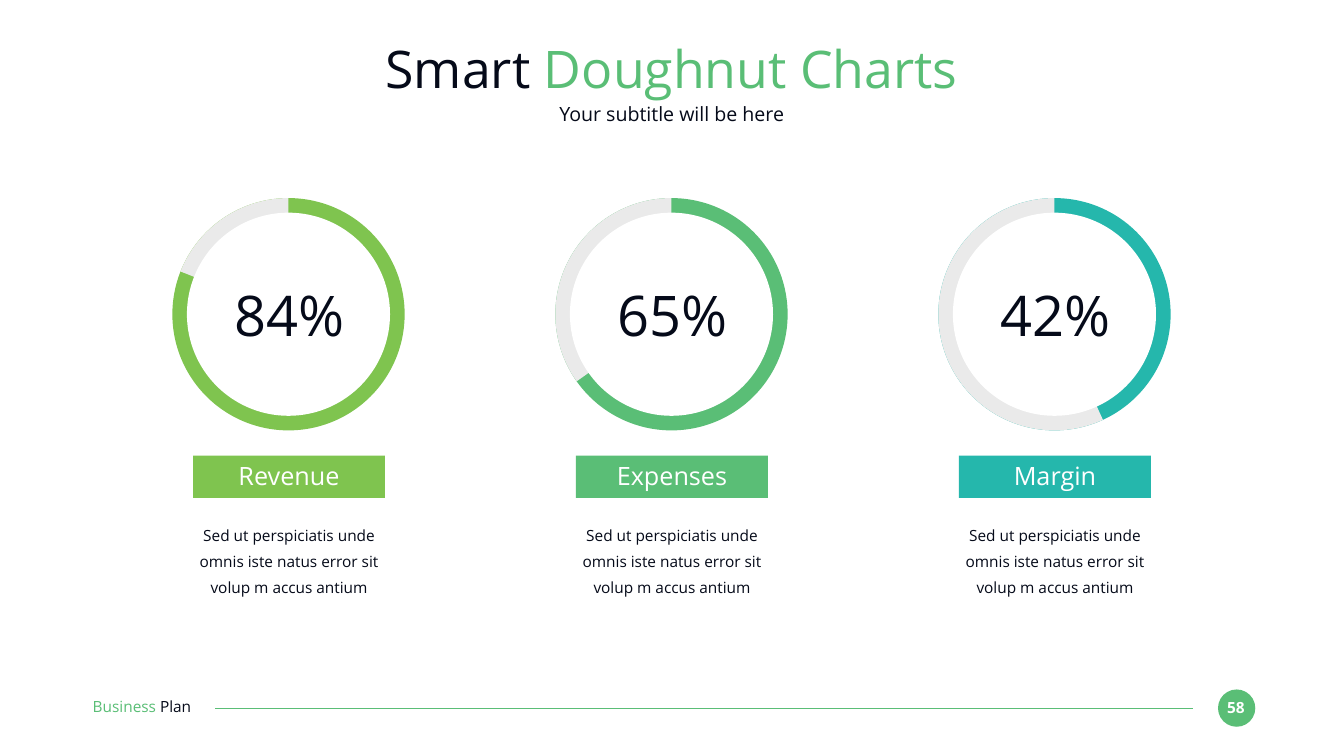
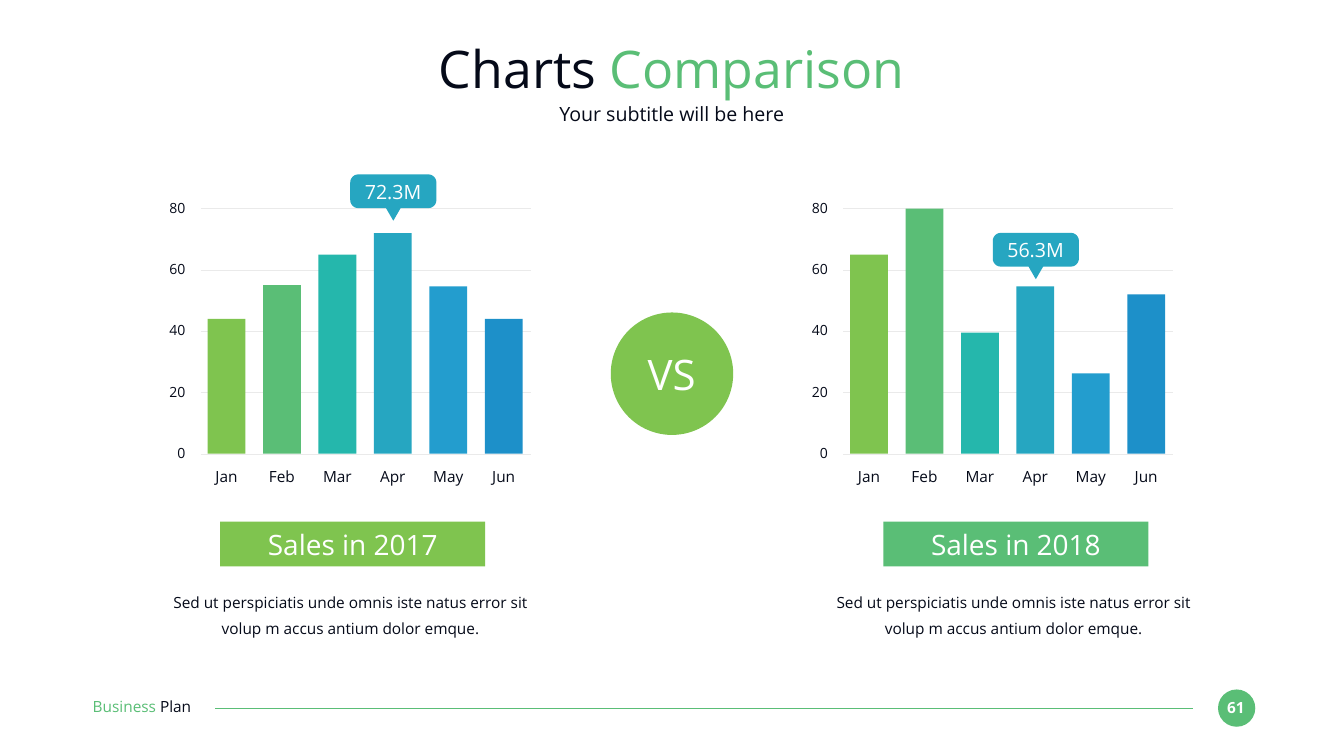
import math

from lxml import etree
from pptx import Presentation
from pptx import util as u
from pptx.dml.color import RGBColor
from pptx.enum import shapes, text
from pptx.oxml.ns import qn

PX = 9144
FONT = "Open Sans"
INK = RGBColor(0x05, 0x0A, 0x19)
WHITE = RGBColor(0xFF, 0xFF, 0xFF)
GREY = RGBColor(0xEA, 0xEA, 0xEA)
LIME = RGBColor(0x7F, 0xC4, 0x4F)
GREEN = RGBColor(0x5A, 0xBE, 0x76)
TEAL = RGBColor(0x25, 0xB7, 0xAC)
CYAN = RGBColor(0x26, 0xA6, 0xC1)
SKY = RGBColor(0x23, 0x9D, 0xCE)
BLUE = RGBColor(0x1D, 0x90, 0xC9)

SHAPE = shapes.MSO_SHAPE
CENTER = text.PP_ALIGN.CENTER
LEFT = text.PP_ALIGN.LEFT
RIGHT = text.PP_ALIGN.RIGHT

MONTHS = ["Jan", "Feb", "Mar", "Apr", "May", "Jun"]
BAR_COLORS = [LIME, GREEN, TEAL, CYAN, SKY, BLUE]
DIALS = [
    ("84%", 81, "Revenue", LIME),
    ("65%", 65.2, "Expenses", GREEN),
    ("42%", 43.15, "Margin", TEAL),
]
DIAL_TEXT = "Sed ut perspiciatis unde omnis iste natus error sit volup m accus antium"
SALES_TEXT = DIAL_TEXT + " dolor emque."
SALES = [
    ("Sales in 2017", LIME, [44, 55, 65, 72, 54.6, 44], "72.3M", 346),
    ("Sales in 2018", GREEN, [65, 80, 39.5, 54.6, 26.2, 52], "56.3M", 462),
]


def px(*lengths):
    return [u.Emu(round(length * PX)) for length in lengths]


def paint(sp, color):
    sp.shadow.inherit = False
    sp.fill.solid()
    sp.fill.fore_color.rgb = color
    sp.line.fill.background()
    return sp


def add_block(parent, kind, box, color):
    return paint(parent.shapes.add_shape(kind, *px(*box)), color)


def add_line(parent, x1, x2, y, color, width):
    line = parent.shapes.add_connector(
        shapes.MSO_CONNECTOR.STRAIGHT, *px(x1, y, x2, y))
    line.line.color.rgb = color
    line.line.width = u.Pt(width)
    etree.SubElement(line._element.spPr, qn("a:effectLst"))


def add_text(parent, box, runs, size, color=INK, align=CENTER, bold=False, spacing=None):
    tf = parent.shapes.add_textbox(*px(*box)).text_frame
    tf.word_wrap = True
    tf.margin_left = tf.margin_right = tf.margin_top = tf.margin_bottom = 0
    p = tf.paragraphs[0]
    p.alignment = align
    if spacing:
        p.line_spacing = spacing
    p.font.name = FONT
    p.font.size = u.Pt(size)
    p.font.bold = bold
    if isinstance(runs, str):
        p.font.color.rgb = color
        runs = [(runs, None)]
    for words, run_color in runs:
        r = p.add_run()
        r.text = words
        if run_color is not None:
            r.font.color.rgb = run_color


def add_banner(s, box, words, size, color, inset):
    x, y, w, h = box
    add_block(s, SHAPE.RECTANGLE, box, color)
    add_text(s, (x, y + inset, w, h - 2 * inset), words, size, WHITE)


def add_frame(prs, first, rest, number):
    s = prs.slides.add_slide(prs.slide_layouts[6])
    add_block(s, SHAPE.OVAL, (2417, 1368, 74, 74), GREEN)
    add_text(s, (2423, 1385, 59, 37), number, 22, WHITE, bold=True)
    add_line(s, 2367, 427, 1405, GREEN, 1.5)
    add_text(s, (184, 1384, 259, 37), [("Business ", GREEN), ("Plan", INK)], 22, align=LEFT)
    add_text(s, (183, 73, 2300, 127), [(first, INK), (rest, GREEN)], 74)
    add_text(s, (183, 203, 2300, 49), "Your subtitle will be here", 28)
    return s


def add_dial(s, x, y, share, color):
    size, ring = 461, 29
    group = s.shapes.add_group_shape()
    add_block(group, SHAPE.OVAL, (x, y, size, size), color)
    pie = add_block(group, SHAPE.PIE, (x, y, size, size), GREY)
    pie.adjustments[0] = (share * 3.6 - 90) * 0.6
    pie.adjustments[1] = 270 * 0.6
    hole = size - 2 * ring
    add_block(group, SHAPE.OVAL, (x + ring, y + ring, hole, hole), WHITE)


def add_callout(parent, x, y, words):
    w, h, radius, tail_w, tail_h = 171, 67, 16, 29, 25
    corners = [
        (w - radius, radius, -90),
        (w - radius, h - radius, 0),
        (radius, h - radius, 90),
        (radius, radius, 180),
    ]
    points = []
    for i, (cx, cy, start) in enumerate(corners):
        if i == 2:
            points += [((w + tail_w) / 2, h), (w / 2, h + tail_h), ((w - tail_w) / 2, h)]
        for step in range(7):
            angle = math.radians(start + 15 * step)
            points.append((cx + radius * math.cos(angle), cy + radius * math.sin(angle)))
    points = [px(x + dx, y + dy) for dx, dy in points]
    builder = parent.shapes.build_freeform(*points[0])
    builder.add_line_segments(points[1:])
    paint(builder.convert_to_shape(), CYAN)
    add_text(parent, (x + 13, y + 11, 144, 47), words, 28, WHITE)


def add_bars(s, x, values, peak, peak_y):
    top, height, base = 414, 487, 900
    group = s.shapes.add_group_shape()
    for i in range(5):
        y = top + i * height / 4
        add_line(group, x, x + 655, y, GREY, 1)
        add_text(group, (x - 87, y - 19, 57, 34), str(80 - 20 * i), 20, align=RIGHT)
    add_callout(group, x + 297, peak_y, peak)
    for i, (month, value, color) in enumerate(zip(MONTHS, values, BAR_COLORS)):
        left = x + 14 + 110 * i
        bar = value * (base - top) / 80
        add_text(group, (left - 6, 927, 87, 37), month, 22)
        add_block(group, SHAPE.RECTANGLE, (left, base - bar, 75, bar), color)


def doughnut_slide(prs):
    s = add_frame(prs, "Smart ", "Doughnut Charts", "58")
    for i, (percent, share, label, color) in enumerate(DIALS):
        x = 342 + 760 * i
        add_dial(s, x, 393, share, color)
        add_banner(s, (x + 41, 904, 381, 84), label, 36, color, 9)
        add_text(s, (x + 16, 1029, 431, 156), DIAL_TEXT, 22, spacing=1.4)
        add_text(s, (x + 113, 556, 238, 135), percent, 80)


def comparison_slide(prs):
    s = add_frame(prs, "Charts ", "Comparison", "61")
    add_block(s, SHAPE.OVAL, (1212, 620, 243, 243), LIME)
    add_text(s, (1261, 691, 144, 101), "VS", 60, WHITE)
    for i, (label, color, values, peak, peak_y) in enumerate(SALES):
        x = 315 + 1316 * i
        add_banner(s, (x + 122, 1035, 526, 89), label, 40, color, 11)
        add_text(s, (x, 1163, 761, 104), SALES_TEXT, 22, spacing=1.4)
        add_bars(s, 398 + 1275 * i, values, peak, peak_y)


def main():
    prs = Presentation()
    prs.slide_width, prs.slide_height = px(2667, 1500)
    doughnut_slide(prs)
    comparison_slide(prs)
    prs.save("out.pptx")


if __name__ == "__main__":
    main()
